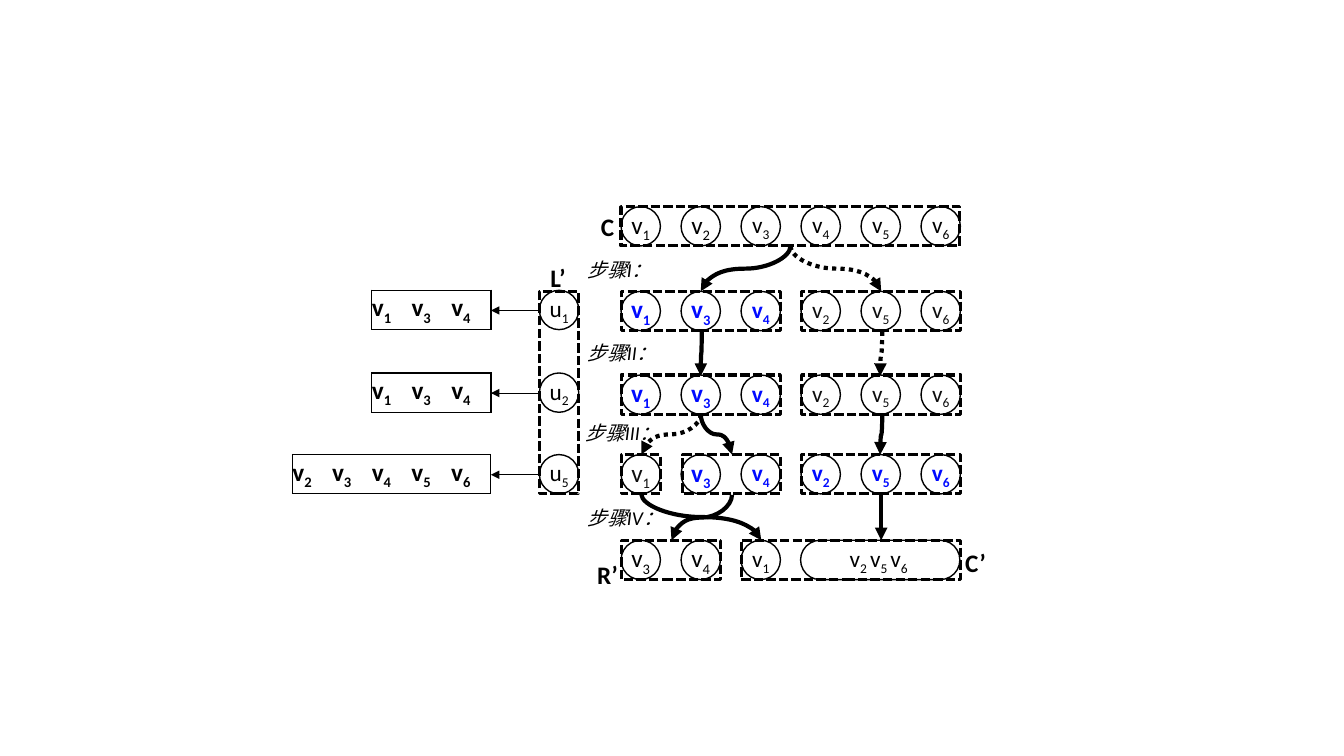
from pptx import Presentation
from pptx.dml.color import RGBColor
from pptx.enum.dml import MSO_LINE_DASH_STYLE as Dash
from pptx.enum.shapes import MSO_CONNECTOR as Conn, MSO_SHAPE as Shape
from pptx.enum.text import MSO_ANCHOR as Anchor, MSO_AUTO_SIZE as AutoSize, PP_ALIGN as Align
from pptx.oxml.ns import qn
from pptx.oxml.xmlchemy import OxmlElement
from pptx.util import Inches, Pt

COLORS = {"black": "000000", "dark": "0D0D0D", "blue": "000AFF", "white": "FFFFFF"}
SIDE = 0.39                       # node diameter, row height and cell width
LEFT, PITCH = 6.16, 0.595         # first node column and column step
ROWS = [2.05, 2.89, 3.72, 4.51, 5.36]


def rgb(name):
    return RGBColor.from_string(COLORS[name])


def add_run(p, text, size, color="black", **styles):
    r = p.add_run()
    r.text = text
    for key, value in {"name": "Calibri", "size": Pt(size), **styles}.items():
        setattr(r.font, key, value)
    r.font.color.rgb = rgb(color)
    return r


def add_vertices(p, names, size, color="black", bold=False):
    """Write each vertex as a letter with a subscript index."""
    for name in names:
        add_run(p, name[0], size, color, bold=bold)
        index = add_run(p, name[1:], size, color, bold=bold)
        index.font._element.set("baseline", "-25000")


def add_outline(s, kind, x, y, w, h, width=None, dash=None):
    sp = s.shapes.add_shape(kind, Inches(x), Inches(y), Inches(w), Inches(h))
    sp.shadow.inherit = False
    sp.fill.background()
    if width is None:
        sp.line.fill.background()
    else:
        sp.line.color.rgb = rgb("black")
        sp.line.width = Pt(width)
        sp.line.dash_style = dash
    return sp


def add_pill(s, x, y, w=SIDE, line=1):
    """Add a fully rounded box and return its centred paragraph."""
    sp = add_outline(s, Shape.ROUNDED_RECTANGLE, x, y, w, SIDE, line)
    sp.adjustments[0] = 0.5
    tf = sp.text_frame
    for side in ("left", "top", "right", "bottom"):
        setattr(tf, f"margin_{side}", 0)
    tf.vertical_anchor = Anchor.MIDDLE
    p = tf.paragraphs[0]
    p.alignment = Align.CENTER
    return p


def add_node(s, column, row, name, color, bold=False):
    p = add_pill(s, LEFT + PITCH * column, ROWS[row])
    add_vertices(p, [name], 18 if column < 2 else 16.6, color, bold)


def add_set_label(s, x, y, text):
    add_run(add_pill(s, x, y, line=None), text, 18, bold=True)


def add_frame(s, x, y, w, h=SIDE):
    add_outline(s, Shape.RECTANGLE, x, y, w, h, 2.25, Dash.SQUARE_DOT).line  # thick dashes


def add_arrow(s, kind, start, end, width, dash=None):
    line = s.shapes.add_connector(kind, *map(Inches, start + end))
    line.line.color.rgb = rgb("black")
    line.line.width = Pt(width)
    line.line.dash_style = dash
    tail = OxmlElement("a:tailEnd")
    tail.set("type", "triangle")
    line.line._get_or_add_ln().append(tail)
    line.element.spPr.append(OxmlElement("a:effectLst"))
    return line


def add_down_curve(s, x1, y1, x2, y2, dash=None):
    """Add an S curve that leaves and arrives vertically."""
    cx, cy = (x1 + x2) / 2, (y1 + y2) / 2
    w, h = y2 - y1, abs(x2 - x1)
    line = add_arrow(s, Conn.CURVE, (cx - w / 2, cy - h / 2),
                     (cx + w / 2, cy + h / 2), 3, dash)
    xfrm = line.element.spPr.find(qn("a:xfrm"))
    goes_right = x2 > x1
    xfrm.set("rot", str((270 if goes_right else 90) * 60000))
    if goes_right:
        xfrm.set("flipH", "1")


def set_border(cell, tag, visible):
    ln = OxmlElement(f"a:{tag}")
    ln.set("w", str(Pt(1)))
    fill = OxmlElement("a:solidFill" if visible else "a:noFill")
    if visible:
        color = OxmlElement("a:srgbClr")
        color.set("val", COLORS["black"])
        fill.append(color)
    ln.append(fill)
    cell._tc.get_or_add_tcPr().append(ln)


def add_neighbours(s, right, y, names):
    """Add a one-row table of neighbours that ends at the right edge."""
    count = len(names)
    width = 0.394 * count
    frame = s.shapes.add_table(1, count, Inches(right - width), Inches(y),
                               Inches(width), Inches(SIDE))
    table = frame.table
    table.first_row = table.horz_banding = False
    for i, name in enumerate(names):
        cell = table.cell(0, i)
        for side in ("left", "top", "right", "bottom"):
            setattr(cell, f"margin_{side}", 0)
        cell.vertical_anchor = Anchor.MIDDLE
        borders = {"lnL": i == 0, "lnR": i == count - 1, "lnT": True, "lnB": True}
        for tag, visible in borders.items():
            set_border(cell, tag, visible)
        cell.fill.solid()
        cell.fill.fore_color.rgb = rgb("white")
        add_vertices(cell.text_frame.paragraphs[0], [name], 18, bold=True)


def add_step(s, x, y, w, numeral):
    tf = s.shapes.add_textbox(Inches(x), Inches(y), Inches(w), Inches(0.34)).text_frame
    tf.word_wrap = False
    tf.auto_size = AutoSize.SHAPE_TO_FIT_TEXT
    add_run(tf.paragraphs[0], f"步骤{numeral}：", 14, italic=True)


def main():
    prs = Presentation()
    prs.slide_width, prs.slide_height = Inches(13.33), Inches(7.5)
    s = prs.slides.add_slide(prs.slide_layouts[6])

    # Left set L’ with the neighbours of each vertex
    for y, name, neighbours in [(2.88, "u1", ["v1", "v3", "v4"]),
                                (3.7, "u2", ["v1", "v3", "v4"]),
                                (4.51, "u5", ["v2", "v3", "v4", "v5", "v6"])]:
        add_neighbours(s, 4.87, y, neighbours)
        add_vertices(add_pill(s, 5.35, y), [name], 16.6)
        add_arrow(s, Conn.STRAIGHT, (5.35, y + 0.2), (4.87, y + 0.2), 0.5)
    add_frame(s, 5.35, 2.89, SIDE, 2.01)

    # Vertex rows: names, and the columns that are highlighted
    split = ["v1", "v3", "v4", "v2", "v5", "v6"]
    for row, (names, plain, highlighted) in enumerate([
            (["v1", "v2", "v3", "v4", "v5", "v6"], "black", ()),
            (split, "dark", (0, 1, 2)),
            (split, "dark", (0, 1, 2)),
            (split, "dark", (1, 2, 3, 4, 5)),
            (["v3", "v4", "v1"], "black", ())]):
        for column, name in enumerate(names):
            marked = column in highlighted
            add_node(s, column, row, name, "blue" if marked else plain, marked)
    add_vertices(add_pill(s, 7.94, ROWS[4], 1.58), ["v2 ", "v5 ", "v6 "], 16.6)

    # Dashed frames around the groups of each row
    for y, groups in zip(ROWS, [[(6.16, 3.36)],
                                [(6.16, 1.58), (7.95, 1.58)],
                                [(6.16, 1.58), (7.95, 1.58)],
                                [(6.16, SIDE), (6.77, 0.97), (7.95, 1.58)],
                                [(6.16, 0.99), (7.35, 2.18)]]):
        for x, w in groups:
            add_frame(s, x, y, w)

    # Set names
    for x, y, text in [(5.34, 2.56, "L’"), (5.83, 2.05, "C"),
                       (5.83, 5.5, "R’"), (9.48, 5.38, "C’")]:
        add_set_label(s, x, y, text)

    # Refinement arrows: solid, then dotted
    for curve in [(7.84, 2.44, 6.95, 2.89), (6.96, 3.29, 6.95, 3.73),
                  (6.95, 4.11, 7.26, 4.51), (8.75, 4.12, 8.73, 4.51),
                  (7.26, 4.91, 6.66, 5.36), (6.36, 4.9, 7.55, 5.36),
                  (8.74, 4.9, 8.74, 5.36)]:
        add_down_curve(s, *curve)
    for curve in [(7.84, 2.44, 8.74, 2.89), (8.75, 3.29, 8.73, 3.73),
                  (6.95, 4.11, 6.36, 4.51)]:
        add_down_curve(s, *curve, Dash.ROUND_DOT)

    # Step labels
    for x, y, w, numeral in [(5.73, 2.51, 0.84, "I"), (5.73, 3.33, 0.89, "II"),
                             (5.71, 4.13, 0.94, "III"), (5.73, 4.97, 0.96, "IV")]:
        add_step(s, x, y, w, numeral)

    prs.save("out.pptx")


if __name__ == "__main__":
    main()
